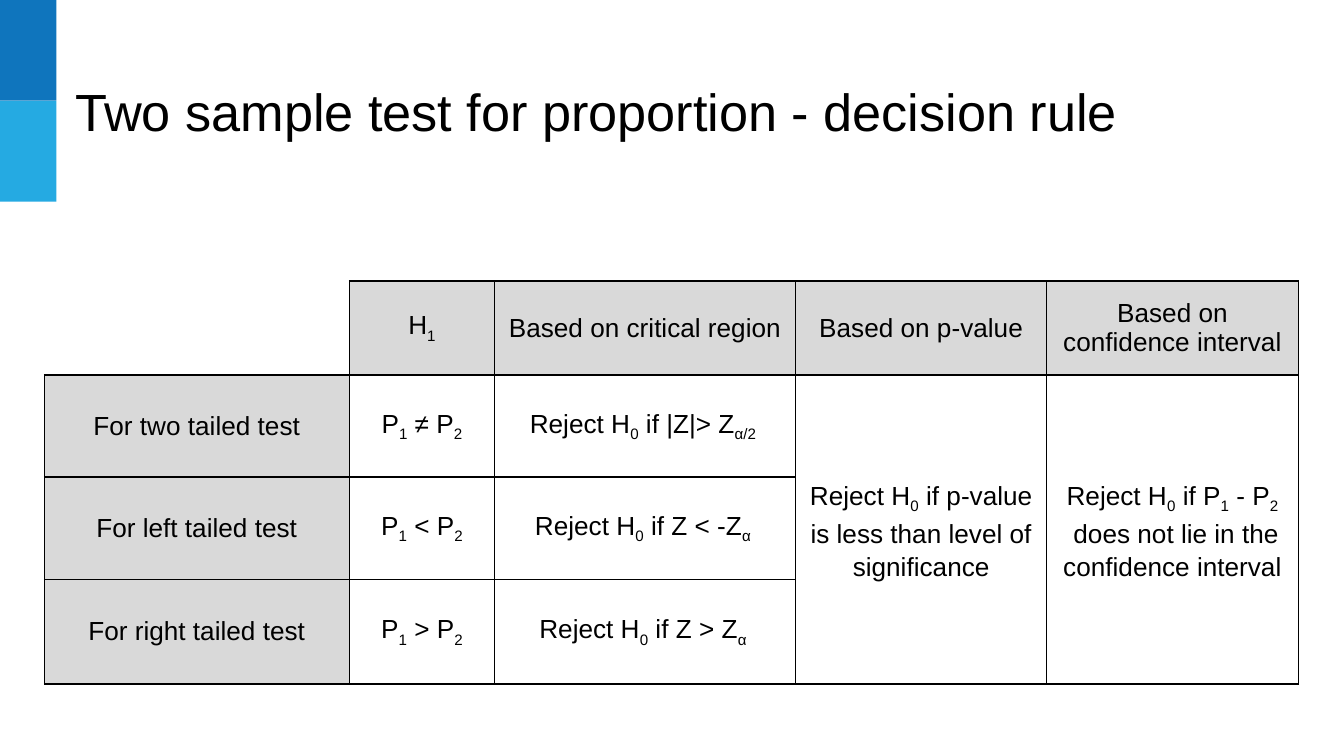
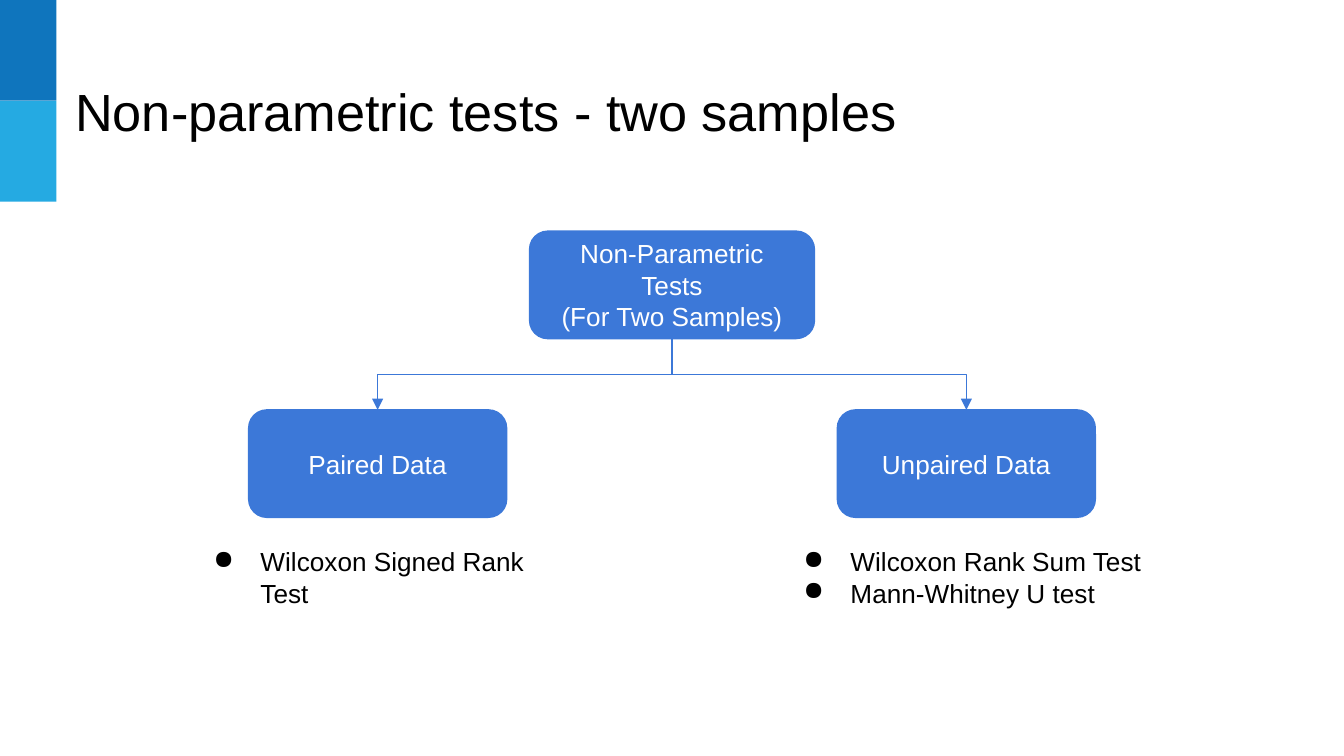
from dataclasses import dataclass

import lxml.etree
import pptx
import pptx.dml.color
import pptx.enum.shapes
import pptx.enum.text
import pptx.oxml.ns
import pptx.util

RGBColor = pptx.dml.color.RGBColor
Align = pptx.enum.text.PP_ALIGN
Anchor = pptx.enum.text.MSO_ANCHOR
Shape = pptx.enum.shapes.MSO_SHAPE

# Shared look
DARK_BAND = RGBColor(0x0F, 0x75, 0xBD)
LIGHT_BAND = RGBColor(0x25, 0xAA, 0xE2)
NODE_BLUE = RGBColor(0x3C, 0x78, 0xD8)
HEADER_GREY = RGBColor(0xD9, 0xD9, 0xD9)
BLACK = RGBColor(0, 0, 0)
WHITE = RGBColor(0xFF, 0xFF, 0xFF)
FONT = "Arial"
TITLE_SIZE = 28
BODY_SIZE = 14
THIN_LINE = pptx.util.Pt(0.75)

# Square grid: 100 columns across, 56.25 rows down
SLIDE_WIDTH = pptx.util.Inches(10)
SLIDE_HEIGHT = pptx.util.Inches(5.625)
GRID_COLUMNS = 100


def grid(count: float) -> int:
    """Length of a number of grid columns or rows."""
    return round(SLIDE_WIDTH * count / GRID_COLUMNS)


@dataclass(frozen=True)
class Area:
    left: float
    top: float
    width: float
    height: float

    def emu(self) -> tuple[int, ...]:
        return tuple(grid(n) for n in (self.left, self.top, self.width, self.height))

    @property
    def center(self) -> float:
        return self.left + self.width / 2

    @property
    def bottom(self) -> float:
        return self.top + self.height


@dataclass(frozen=True)
class Branch:
    label: str
    area: Area
    tests: tuple[str, ...]
    tests_area: Area


@dataclass(frozen=True)
class Rule:
    tail: str
    hypothesis: str
    critical_region: str


def xml_child(parent, tag: str, **attributes: str):
    child = lxml.etree.SubElement(parent, pptx.oxml.ns.qn(tag))
    for key, value in attributes.items():
        child.set(key, value)
    return child


def write(frame, *paragraphs: str, size: float = BODY_SIZE, color: RGBColor = BLACK,
          align=Align.LEFT, anchor=Anchor.TOP, spacing: float | None = None,
          bullet: str = "") -> None:
    """Fill a text frame; parts between tildes are subscripts, newlines are breaks."""
    frame.word_wrap = True
    frame.vertical_anchor = anchor
    for number, text in enumerate(paragraphs):
        paragraph = frame.add_paragraph() if number else frame.paragraphs[0]
        paragraph.alignment = align
        if spacing:
            paragraph.line_spacing = spacing
        if bullet:
            properties = paragraph._p.get_or_add_pPr()
            properties.set("marL", str(grid(5)))
            properties.set("indent", str(-grid(3.5)))
            tint = xml_child(properties, "a:buClr")
            xml_child(tint, "a:srgbClr", val=str(color))
            xml_child(properties, "a:buChar", char=bullet)
        for part, piece in enumerate(text.split("~")):
            for line_number, line in enumerate(piece.split("\n")):
                if line_number:
                    paragraph.add_line_break()
                if not line:
                    continue
                run = paragraph.add_run()
                run.text = line
                run.font.name = FONT
                run.font.size = pptx.util.Pt(size)
                run.font.color.rgb = color
                if part % 2:
                    run.font._element.set("baseline", "-25000")


def set_insets(frame) -> None:
    frame.margin_left = frame.margin_right = grid(1)
    frame.margin_top = frame.margin_bottom = grid(1)


def add_block(slide, kind, area: Area, fill: RGBColor, outlined: bool = False):
    block = slide.shapes.add_shape(kind, *area.emu())
    block.shadow.inherit = False
    block.fill.solid()
    block.fill.fore_color.rgb = fill
    if outlined:
        block.line.color.rgb = fill
        block.line.width = THIN_LINE
    else:
        block.line.fill.background()
    return block


def add_titled_slide(deck, heading: str, title_width: float):
    slide = deck.slides.add_slide(deck.slide_layouts[5])
    # Side bands
    for position, color in enumerate((DARK_BAND, LIGHT_BAND)):
        add_block(slide, Shape.RECTANGLE, Area(0, 7.5 * position, 4.2, 7.5), color)
    # Title
    title = slide.shapes.title
    title.left, title.top, title.width, title.height = Area(4.6, 4.9, title_width, 6.3).emu()
    set_insets(title.text_frame)
    title.text_frame.auto_size = pptx.enum.text.MSO_AUTO_SIZE.NONE
    write(title.text_frame, heading, size=TITLE_SIZE)
    return slide


# Decision rule table
HEADERS = ("H~1~", "Based on critical region", "Based on p-value",
           "Based on confidence interval")
RULES = (
    Rule("For two tailed test", "P~1~ ≠ P~2~", "Reject H~0~ if |Z|> Z~α/2 ~"),
    Rule("For left tailed test", "P~1~ < P~2~", "Reject H~0~ if Z < -Z~α ~"),
    Rule("For right tailed test", "P~1~ > P~2~", "Reject H~0~ if Z > Z~α ~"),
)
P_VALUE_RULE = ("Reject H~0~ if p-value is less than level of significance",)
INTERVAL_RULE = ("Reject H~0~ if P~1~ - P~2~", " does not lie in the confidence interval")
TABLE_AREA = Area(3.3, 20.9, 93.3, 30)
COLUMN_WIDTHS = (22.7, 10.8, 22.4, 18.7, 18.7)
ROW_HEIGHTS = (7, 7.6, 7.6, 7.8)


def set_borders(cell, hidden: tuple[str, ...] = ()) -> None:
    properties = cell._tc.get_or_add_tcPr()
    for position, side in enumerate(("lnL", "lnR", "lnT", "lnB")):
        border = lxml.etree.Element(pptx.oxml.ns.qn("a:" + side), w=str(THIN_LINE))
        if side in hidden:
            xml_child(border, "a:noFill")
        else:
            xml_child(xml_child(border, "a:solidFill"), "a:srgbClr", val=str(BLACK))
        properties.insert(position, border)


def fill_cell(cell, *paragraphs: str, spacing: float | None = None) -> None:
    write(cell.text_frame, *paragraphs, align=Align.CENTER, spacing=spacing)
    cell.vertical_anchor = Anchor.MIDDLE


def build_decision_rule(deck) -> None:
    slide = add_titled_slide(deck, "Two sample test for proportion - decision rule", 84.6)
    table = slide.shapes.add_table(len(ROW_HEIGHTS), len(COLUMN_WIDTHS),
                                   *TABLE_AREA.emu()).table
    table.first_row = table.horz_banding = False
    for column, width in zip(table.columns, COLUMN_WIDTHS):
        column.width = grid(width)
    for row, height in zip(table.rows, ROW_HEIGHTS):
        row.height = grid(height)

    # Fills and borders: grey headings, open corner
    for r in range(len(ROW_HEIGHTS)):
        for c in range(len(COLUMN_WIDTHS)):
            cell = table.cell(r, c)
            set_insets(cell)
            if (r == 0) != (c == 0):
                cell.fill.solid()
                cell.fill.fore_color.rgb = HEADER_GREY
            else:
                cell.fill.background()
            set_borders(cell, hidden=("lnL", "lnT") if r == c == 0 else ())

    # Wording
    for c, header in enumerate(HEADERS, start=1):
        fill_cell(table.cell(0, c), header)
    for r, rule in enumerate(RULES, start=1):
        for c, text in enumerate((rule.tail, rule.hypothesis, rule.critical_region)):
            fill_cell(table.cell(r, c), text)
    for c, shared_rule in enumerate((P_VALUE_RULE, INTERVAL_RULE), start=3):
        table.cell(1, c).merge(table.cell(len(RULES), c))
        fill_cell(table.cell(1, c), *shared_rule, spacing=1.15)


# Tree of non-parametric tests
ROOT_LABEL = "Non-Parametric Tests\n(For Two Samples)"
ROOT_AREA = Area(39.4, 17.2, 21.2, 8)
BRANCHES = (
    Branch("Paired Data", Area(18.5, 30.5, 19.2, 8),
           ("Wilcoxon Signed Rank Test",), Area(13.4, 39.6, 29.3, 5.3)),
    Branch("Unpaired Data", Area(62.3, 30.5, 19.2, 8),
           ("Wilcoxon Rank Sum Test", "Mann-Whitney U test"), Area(57.3, 39.6, 29.3, 8)),
)


def add_node(slide, label: str, area: Area) -> None:
    node = add_block(slide, Shape.ROUNDED_RECTANGLE, area, NODE_BLUE, outlined=True)
    node.adjustments[0] = 0.17
    set_insets(node.text_frame)
    write(node.text_frame, label, color=WHITE, align=Align.CENTER, anchor=Anchor.MIDDLE)


def add_branch_arrow(slide, parent: Area, child: Area) -> None:
    """Elbow arrow going down, across and down: a quarter-turned bent connector."""
    drop = child.top - parent.bottom
    reach = abs(child.center - parent.center)
    middle_x = (parent.center + child.center) / 2
    middle_y = (parent.bottom + child.top) / 2
    to_left = child.center < parent.center
    start_x, end_x = middle_x - drop / 2, middle_x + drop / 2
    if not to_left:
        start_x, end_x = end_x, start_x
    arrow = slide.shapes.add_connector(
        pptx.enum.shapes.MSO_CONNECTOR.ELBOW,
        grid(start_x), grid(middle_y - reach / 2), grid(end_x), grid(middle_y + reach / 2))
    arrow.line.color.rgb = NODE_BLUE
    arrow.line.width = THIN_LINE
    properties = arrow._element.spPr
    properties.find(pptx.oxml.ns.qn("a:xfrm")).set("rot", str((90 if to_left else 270) * 60000))
    xml_child(properties.find(pptx.oxml.ns.qn("a:ln")), "a:tailEnd", type="triangle")
    xml_child(properties, "a:effectLst")


def build_test_tree(deck) -> None:
    slide = add_titled_slide(deck, "Non-parametric tests - two samples", 73.7)
    add_node(slide, ROOT_LABEL, ROOT_AREA)
    for branch in BRANCHES:
        add_node(slide, branch.label, branch.area)
        add_branch_arrow(slide, ROOT_AREA, branch.area)
        tests = slide.shapes.add_textbox(*branch.tests_area.emu()).text_frame
        set_insets(tests)
        write(tests, *branch.tests, bullet="●")


def main() -> None:
    deck = pptx.Presentation()
    deck.slide_width, deck.slide_height = SLIDE_WIDTH, SLIDE_HEIGHT
    build_decision_rule(deck)
    build_test_tree(deck)
    deck.save("out.pptx")


if __name__ == "__main__":
    main()
